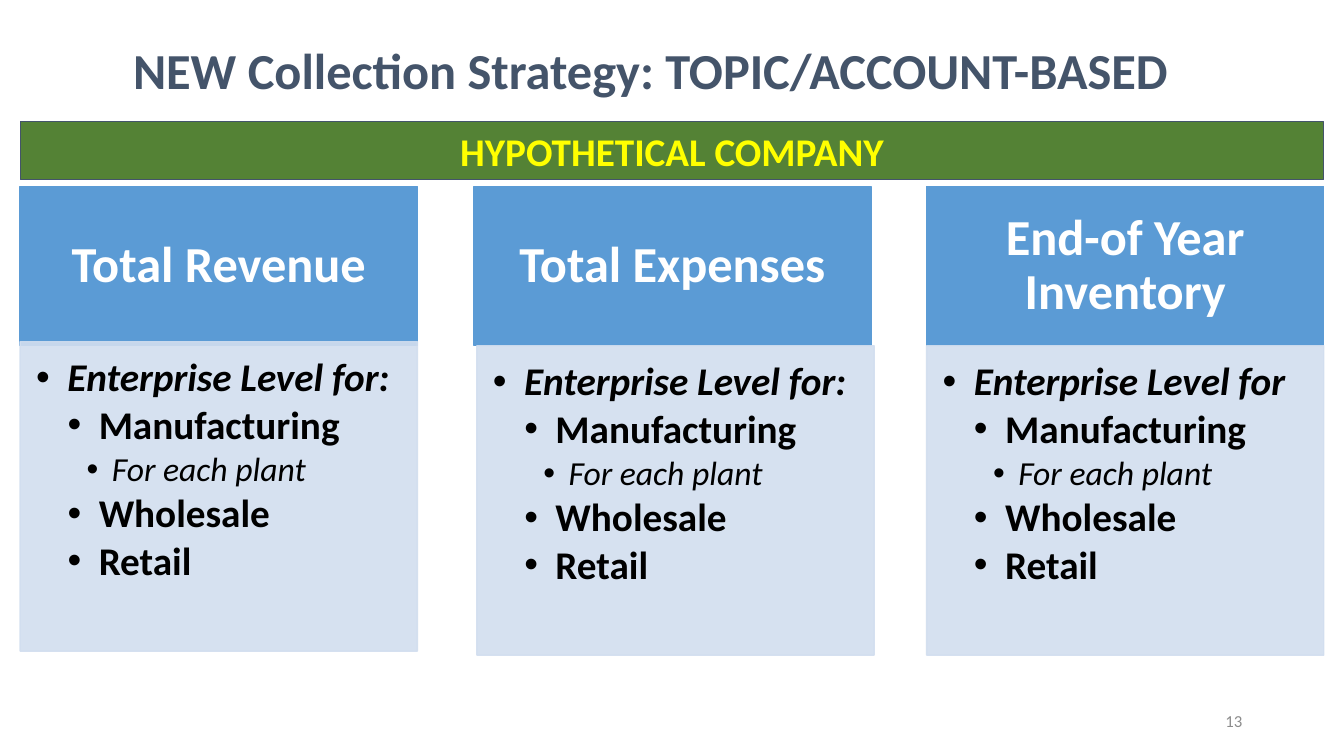
from lxml.etree import SubElement
from pptx import Presentation
from pptx.dml.color import RGBColor
from pptx.enum.shapes import MSO_SHAPE as Shape
from pptx.enum.text import MSO_ANCHOR as Anchor, MSO_AUTO_SIZE as Auto, PP_ALIGN as Align
from pptx.oxml.ns import qn
from pptx.util import Inches, Pt

BLUE, PALE, GREEN, SLATE = "5B9BD5", "D2DEEF", "548235", "44546A"
WHITE, BLACK, YELLOW, GRAY = "FFFFFF", "000000", "FFFF00", "8C8C8C"

# Left indent and hanging width of each bullet level, in inches
INDENTS = [(0.31, 0.31), (0.62, 0.31), (0.75, 0.25)]

# Heading, heading left, list left, list top, first list line
COLUMNS = [
    ("Total Revenue", 0.2, 0.2, 3.39, "Enterprise Level for:"),
    ("Total Expenses", 4.7, 4.73, 3.43, "Enterprise Level for:"),
    ("End-of Year Inventory", 9.19, 9.19, 3.43, "Enterprise Level for"),
]
DETAILS = [
    ("Manufacturing", 1),
    ("For each plant", 2),
    ("Wholesale", 1),
    ("Retail", 1),
]


def paint(target, color, alpha=None):
    """Set a solid colour on a fill, with optional opacity in percent."""
    target.solid()
    target.fore_color.rgb = RGBColor.from_string(color)
    if alpha:
        node = target._xPr.find(qn("a:solidFill"))[0]
        SubElement(node, qn("a:alpha"), val=str(alpha * 1000))


def place(shape, box):
    shape.left, shape.top, shape.width, shape.height = map(Inches, box)


def panel(slide, box, color, edge, weight=1, alpha=None):
    shape = slide.shapes.add_shape(Shape.RECTANGLE, *map(Inches, box))
    shape.shadow.inherit = False
    paint(shape.fill, color, alpha)
    shape.line.width = Pt(weight)
    paint(shape.line.fill, edge, alpha)
    return shape


def setup(shape, anchor, insets=(0.1, 0.05, 0.1, 0.05)):
    frame = shape.text_frame
    frame.word_wrap = True
    frame.auto_size = Auto.NONE
    frame.vertical_anchor = anchor
    (frame.margin_left, frame.margin_top,
     frame.margin_right, frame.margin_bottom) = map(Inches, insets)
    return frame


def write(para, text, size, color, bold=False, italic=False,
          align=Align.CENTER, spacing=None, after=0, level=None):
    """Fill a paragraph; a level makes it a bullet."""
    para.alignment = align
    para.line_spacing = spacing
    para.space_before = Pt(0)
    para.space_after = Pt(after)
    if level is not None:
        para.level = level
        left, hang = INDENTS[level]
        props = para._p.get_or_add_pPr()
        props.set("marL", str(Inches(left)))
        props.set("indent", str(-Inches(hang)))
        SubElement(props, qn("a:buFont"), typeface="Arial")
        SubElement(props, qn("a:buChar"), char="•")
    run = para.add_run()
    run.text = text
    font = run.font
    font.name, font.size, font.bold, font.italic = "Calibri", Pt(size), bold, italic
    font.color.rgb = RGBColor.from_string(color)


def title(slide, box):
    shape = slide.shapes.title
    place(shape, box)
    frame = setup(shape, Anchor.BOTTOM)
    write(frame.paragraphs[0], "NEW Collection Strategy: TOPIC/ACCOUNT-BASED",
          36, SLATE, bold=True, spacing=0.9)


def banner(slide, box):
    frame = setup(panel(slide, box, GREEN, SLATE, 0.75), Anchor.MIDDLE)
    write(frame.paragraphs[0], "HYPOTHETICAL COMPANY", 28, YELLOW, bold=True)


def heading(slide, box, text):
    frame = setup(panel(slide, box, BLUE, BLUE), Anchor.MIDDLE,
                  (0.28, 0.16, 0.28, 0.16))
    write(frame.paragraphs[0], text, 36, WHITE, bold=True, spacing=0.9)


def listing(slide, box, first):
    frame = setup(panel(slide, box, PALE, PALE, alpha=90), Anchor.TOP,
                  (0.16, 0.16, 0.22, 0.24))
    for i, (text, level) in enumerate([(first, 0), *DETAILS]):
        para = frame.add_paragraph() if i else frame.paragraphs[0]
        write(para, text, 24 if level == 2 else 28, BLACK, bold=level < 2,
              italic=level != 1, align=Align.LEFT, spacing=0.9, after=3.6,
              level=level)


def number(slide, box):
    frame = setup(slide.shapes.add_textbox(*map(Inches, box)), Anchor.MIDDLE)
    write(frame.paragraphs[0], "13", 12, GRAY, align=Align.RIGHT)


def main():
    deck = Presentation()
    deck.slide_width, deck.slide_height = Inches(13.33), Inches(7.5)
    slide = deck.slides.add_slide(deck.slide_layouts[5])
    title(slide, (0.8, 0.21, 11.31, 0.84))
    number(slide, (9.42, 6.95, 3, 0.4))
    for name, left, inner, top, first in COLUMNS:
        heading(slide, (left, 1.85, 3.94, 1.58), name)
        listing(slide, (inner, top, 3.94, 3.07), first)
    banner(slide, (0.2, 1.21, 12.93, 0.57))
    deck.save("out.pptx")


if __name__ == "__main__":
    main()
